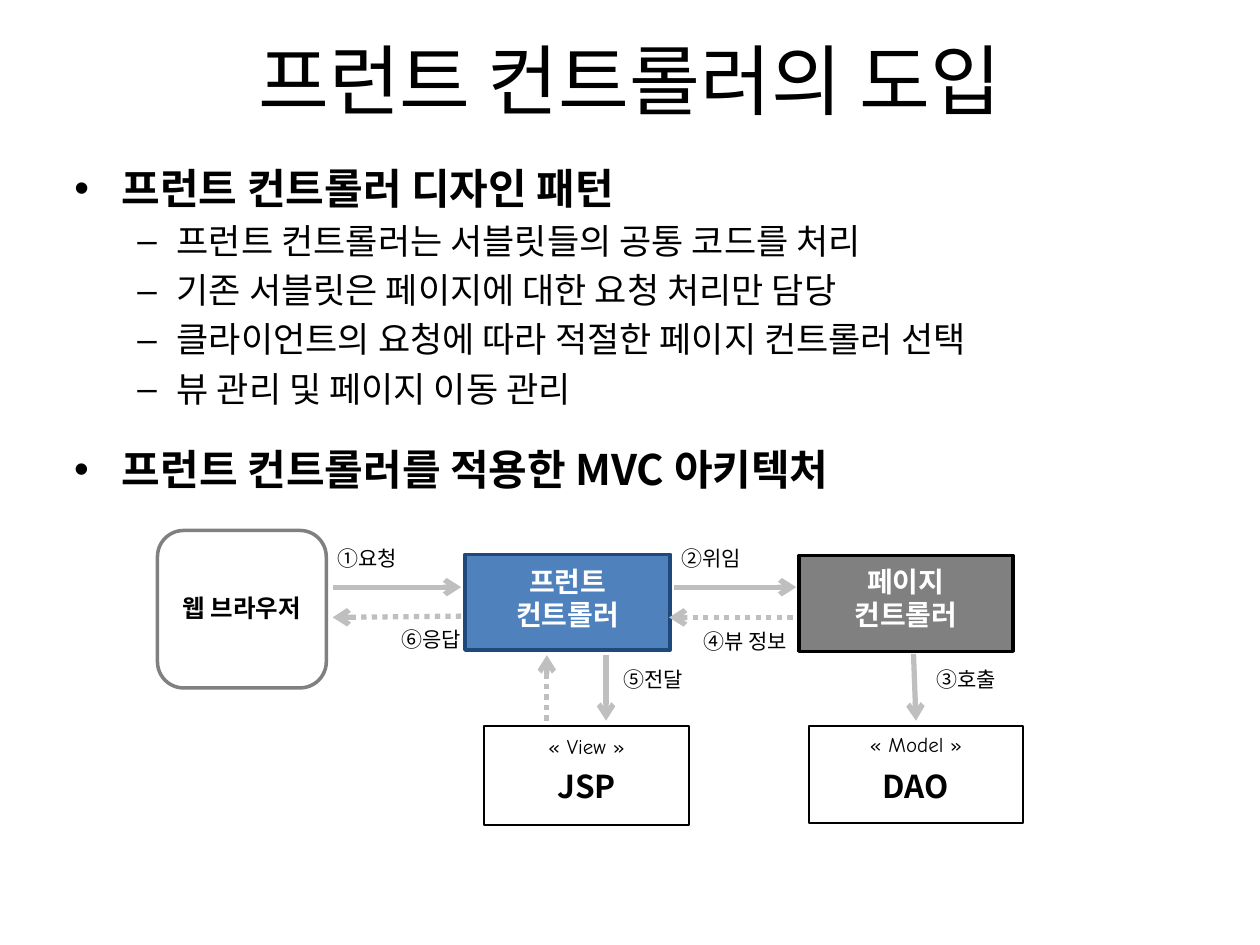
from lxml import etree
from pptx import Presentation
from pptx.dml.color import RGBColor
from pptx.enum.dml import MSO_LINE
from pptx.enum.shapes import MSO_CONNECTOR, MSO_SHAPE
from pptx.enum.text import MSO_ANCHOR, PP_ALIGN
from pptx.oxml.ns import qn
from pptx.util import Inches, Pt

SANS = "Noto Sans CJK KR"
COMIC = "Comic Neue"
BLACK = RGBColor(0, 0, 0)
WHITE = RGBColor(255, 255, 255)
GRAY = RGBColor(0x80, 0x80, 0x80)
SILVER = RGBColor(0xBF, 0xBF, 0xBF)
BLUE = RGBColor(0x4F, 0x81, 0xBD)
NAVY = RGBColor(0x1F, 0x49, 0x7D)
RECT = MSO_SHAPE.RECTANGLE
ROUND = MSO_SHAPE.ROUNDED_RECTANGLE
STRAIGHT = MSO_CONNECTOR.STRAIGHT
DOTS = MSO_LINE.ROUND_DOT
TOP, MIDDLE = MSO_ANCHOR.TOP, MSO_ANCHOR.MIDDLE
LEFT, CENTER, RIGHT = PP_ALIGN.LEFT, PP_ALIGN.CENTER, PP_ALIGN.RIGHT


def style(para, size, bold=False, color=BLACK, face=SANS):
    for run in para.runs:
        font = run.font
        font.size, font.bold, font.name = Pt(size), bold, face
        font.color.rgb = color
        etree.SubElement(run._r.get_or_add_rPr(), qn("a:ea")).set("typeface", face)


def write(home, text, at, size, bold=False, color=BLACK, face=SANS, align=CENTER):
    box = home.add_textbox(*[Inches(v) for v in at])
    frame = box.text_frame
    frame.word_wrap = True
    frame.vertical_anchor = TOP
    frame.text = text
    for para in frame.paragraphs:
        para.alignment = align
        style(para, size, bold, color, face)
    return frame


deck = Presentation()
deck.slide_width, deck.slide_height = Inches(10), Inches(7.5)
slide = deck.slides.add_slide(deck.slide_layouts[1])
shapes = slide.shapes

title = shapes.title
title.left, title.top, title.width, title.height = [Inches(v) for v in (0.5, 0, 9, 1.25)]
title.text_frame.text = "프런트 컨트롤러의 도입"
title.text_frame.vertical_anchor = MIDDLE
style(title.text_frame.paragraphs[0], 44)

body = slide.placeholders[1]
body.left, body.top, body.width, body.height = [Inches(v) for v in (0.49, 1.24, 9, 2.24)]
body.text_frame.text = "\n".join([
    "프런트 컨트롤러 디자인 패턴",
    "프런트 컨트롤러는 서블릿들의 공통 코드를 처리",
    "기존 서블릿은 페이지에 대한 요청 처리만 담당",
    "클라이언트의 요청에 따라 적절한 페이지 컨트롤러 선택",
    "뷰 관리 및 페이지 이동 관리",
])
for i, para in enumerate(body.text_frame.paragraphs):
    para.level = min(i, 1)
    style(para, 20 if i else 24, i == 0)

topic = write(shapes, "프런트 컨트롤러를 적용한 MVC 아키텍처",
              (0.49, 3.47, 9, 0.66), 24, True, align=LEFT).paragraphs[0]
topic.space_before = Pt(5)
props = topic._p.get_or_add_pPr()
props.set("marL", str(Inches(0.38)))
props.set("indent", str(Inches(-0.38)))
etree.SubElement(props, qn("a:buFont")).set("typeface", "Arial")
etree.SubElement(props, qn("a:buChar")).set("char", "•")

nodes = [
    (ROUND, (1.25, 4.21, 1.34, 1.25), None, GRAY, 2,
     [("웹 브라우저", 4.66, 0.34, 14, True, BLACK, SANS)]),
    (RECT, (6.42, 5.76, 1.7, 0.77), None, BLACK, 1,
     [("« Model »", 5.76, 0.45, 12, False, BLACK, COMIC),
      ("DAO", 6.04, 0.4, 18, True, BLACK, SANS)]),
    (RECT, (3.84, 5.76, 1.63, 0.79), None, BLACK, 1,
     [("« View »", 5.77, 0.46, 12, False, BLACK, COMIC),
      ("JSP", 6.04, 0.4, 18, True, BLACK, SANS)]),
    (RECT, (6.34, 4.41, 1.7, 0.76), GRAY, BLACK, 2,
     [("페이지\n컨트롤러", 4.43, 0.64, 16, True, WHITE, SANS)]),
    (RECT, (3.69, 4.4, 1.63, 0.76), BLUE, NAVY, 2,
     [("프런트\n컨트롤러", 4.43, 0.64, 16, True, WHITE, SANS)]),
]
for kind, at, fill, edge, weight, texts in nodes:
    group = shapes.add_group_shape().shapes
    node = group.add_shape(kind, *[Inches(v) for v in at])
    node.shadow.inherit = False
    if fill is None:
        node.fill.background()
    else:
        node.fill.solid()
        node.fill.fore_color.rgb = fill
    node.line.color.rgb = edge
    node.line.width = Pt(weight)
    for text, top, height, *look in texts:
        write(group, text, (at[0], top, at[2], height), *look)

arrows = [
    (2.64, 4.66, 3.66, 4.66, False),
    (5.35, 4.66, 6.32, 4.66, False),
    (4.81, 5.2, 4.81, 5.72, False),
    (7.25, 5.19, 7.27, 5.72, False),
    (4.34, 5.72, 4.34, 5.2, True),
    (6.29, 4.9, 5.31, 4.9, True),
    (3.66, 4.89, 2.64, 4.9, True),
]
for *ends, dotted in arrows:
    arrow = shapes.add_connector(STRAIGHT, *[Inches(v) for v in ends])
    arrow.line.color.rgb = SILVER
    arrow.line.width = Pt(3)
    if dotted:
        arrow.line.dash_style = DOTS
    etree.SubElement(arrow.line._get_or_add_ln(), qn("a:tailEnd")).set("type", "arrow")
    etree.SubElement(arrow._element.spPr, qn("a:effectLst"))

labels = [
    ("①요청", 2.64, 4.33, LEFT),
    ("②위임", 5.37, 4.33, LEFT),
    ("③호출", 7.39, 5.29, LEFT),
    ("④뷰 정보", 5.54, 4.99, LEFT),
    ("⑤전달", 4.91, 5.29, LEFT),
    ("⑥응답", 2.9, 4.97, RIGHT),
]
for text, left, top, align in labels:
    frame = write(shapes, text, (left, top, 0.76, 0.2), 12, align=align)
    frame.margin_left = frame.margin_right = frame.margin_top = frame.margin_bottom = 0
    frame.paragraphs[0]._p.get_or_add_pPr().set("marL", str(Inches(0.04)))

deck.save("out.pptx")
